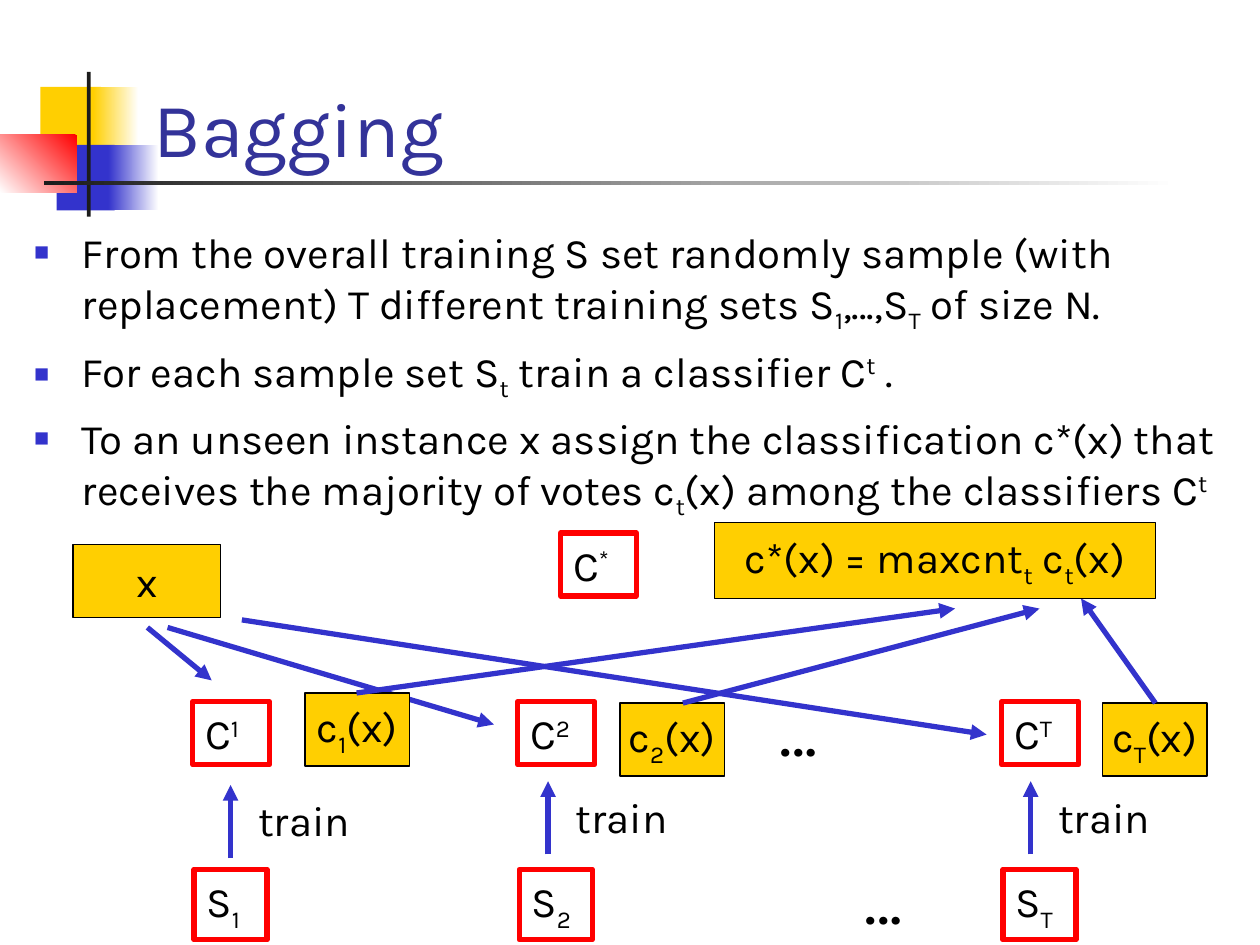
from dataclasses import dataclass

from lxml import etree
from pptx import Presentation
from pptx.dml.color import RGBColor
from pptx.enum.shapes import MSO_CONNECTOR, MSO_SHAPE
from pptx.enum.text import MSO_ANCHOR, MSO_AUTO_SIZE, PP_ALIGN
from pptx.oxml.ns import qn
from pptx.util import Inches, Pt

RECTANGLE = MSO_SHAPE.RECTANGLE
STRAIGHT = MSO_CONNECTOR.STRAIGHT
TOP, MIDDLE, BOTTOM = MSO_ANCHOR.TOP, MSO_ANCHOR.MIDDLE, MSO_ANCHOR.BOTTOM
LEFT, CENTER = PP_ALIGN.LEFT, PP_ALIGN.CENTER
FIXED, GROW = MSO_AUTO_SIZE.NONE, MSO_AUTO_SIZE.SHAPE_TO_FIT_TEXT
SUB, SUP = -25, 30


@dataclass(frozen=True)
class Theme:
    """Colours, font and type sizes of the slide."""
    font: str = "Karla"
    title_color: str = "333399"
    text: str = "000000"
    white: str = "FFFFFF"
    blue: str = "3333CC"
    yellow: str = "FFCF01"
    red: str = "FF0000"
    dark: str = "1C1C1C"
    title_size: int = 44
    body_size: int = 24
    dots_size: int = 40
    thick: float = 3
    thin: float = 0.75


THEME = Theme()


def color(value):
    """Turn a hex string into a colour."""
    return RGBColor.from_string(value)


def add_runs(paragraph, runs, size=THEME.body_size, text_color=THEME.text):
    """Add runs, each a string or a (string, baseline percent) pair."""
    for item in runs:
        text, baseline = (item, 0) if isinstance(item, str) else item
        run = paragraph.add_run()
        run.text = text
        run.font.name = THEME.font
        run.font.size = Pt(size)
        run.font.color.rgb = color(text_color)
        if baseline:
            run.font._element.set("baseline", str(baseline * 1000))


def place(shape, left, top, width, height):
    """Move and size a shape, in inches."""
    shape.left, shape.top = Inches(left), Inches(top)
    shape.width, shape.height = Inches(width), Inches(height)


def set_frame(frame, anchor, auto_size, wrap):
    """Set how a text frame anchors, grows and wraps."""
    frame.auto_size = auto_size
    frame.vertical_anchor = anchor
    frame.word_wrap = wrap


def add_rectangle(slide, box):
    """Add a rectangle without fill, line or shadow."""
    shape = slide.shapes.add_shape(RECTANGLE, *map(Inches, box))
    shape.shadow.inherit = False
    shape.fill.background()
    shape.line.fill.background()
    return shape


def add_decoration(slide, box, colors, angle=180):
    """Add an ornament with a solid fill or a two-colour gradient."""
    fill = add_rectangle(slide, box).fill
    if len(colors) == 1:
        fill.solid()
        fill.fore_color.rgb = color(colors[0])
        return
    fill.gradient()
    fill.gradient_angle = angle
    for stop, position, value in zip(fill.gradient_stops, (0, 1), colors):
        stop.position = position
        stop.color.rgb = color(value)


def add_node(slide, box, runs):
    """Add a red outlined box for a classifier or a sample set."""
    shape = add_rectangle(slide, box)
    shape.line.color.rgb = color(THEME.red)
    shape.line.width = Pt(THEME.thick)
    set_frame(shape.text_frame, TOP, GROW, False)
    paragraph = shape.text_frame.paragraphs[0]
    paragraph.alignment = LEFT
    add_runs(paragraph, runs)


def add_value(slide, box, runs):
    """Add a yellow box for an instance or a classification."""
    shape = add_rectangle(slide, box)
    shape.fill.solid()
    shape.fill.fore_color.rgb = color(THEME.yellow)
    shape.line.color.rgb = color(THEME.text)
    shape.line.width = Pt(THEME.thin)
    set_frame(shape.text_frame, MIDDLE, FIXED, False)
    paragraph = shape.text_frame.paragraphs[0]
    paragraph.alignment = CENTER
    add_runs(paragraph, runs)


def add_label(slide, box, text, size=THEME.body_size):
    """Add a plain text label."""
    frame = slide.shapes.add_textbox(*map(Inches, box)).text_frame
    set_frame(frame, TOP, GROW, False)
    add_runs(frame.paragraphs[0], [text], size)


def add_arrow(slide, start, end):
    """Add a blue arrow from start to end."""
    arrow = slide.shapes.add_connector(STRAIGHT, *map(Inches, start + end))
    arrow.line.color.rgb = color(THEME.blue)
    arrow.line.width = Pt(THEME.thick)
    line = arrow.line._get_or_add_ln()
    etree.SubElement(line, qn("a:tailEnd"), type="triangle")
    etree.SubElement(line.getparent(), qn("a:effectLst"))


def add_bullet(paragraph):
    """Give a paragraph a hanging blue square bullet."""
    paragraph.space_before = Pt(6)
    properties = paragraph._p.get_or_add_pPr()
    properties.set("marL", str(Inches(0.38)))
    properties.set("indent", str(Inches(-0.38)))
    bullet_color = etree.SubElement(properties, qn("a:buClr"))
    etree.SubElement(bullet_color, qn("a:srgbClr"), val=THEME.blue)
    etree.SubElement(properties, qn("a:buSzPct"), val="60000")
    etree.SubElement(properties, qn("a:buChar"), char="■")


def add_ornaments(slide):
    """Draw the coloured squares and rules behind the title."""
    add_decoration(slide, (0.32, 0.69, 0.48, 0.52), [THEME.yellow])
    add_decoration(slide, (0.74, 0.69, 0.36, 0.52), [THEME.white, THEME.yellow])
    add_decoration(slide, (0.45, 1.15, 0.46, 0.52), [THEME.blue])
    add_decoration(slide, (0.86, 1.15, 0.4, 0.52), [THEME.white, THEME.blue])
    add_decoration(slide, (0, 1.07, 0.61, 0.46), [THEME.red, THEME.white], 225)
    add_decoration(slide, (0.69, 0.57, 0.03, 1.15), [THEME.dark])
    add_decoration(slide, (0.35, 1.44, 9, 0.03), [THEME.white, THEME.dark])


def fill_placeholders(slide):
    """Write the title and the bullet list in front of the ornaments."""
    title, body = slide.shapes.title, slide.placeholders[1]
    for placeholder in (title, body):
        slide.shapes.element.append(placeholder.element)
    place(title, 1.12, 0.17, 8.52, 1.25)
    set_frame(title.text_frame, BOTTOM, FIXED, True)
    heading = title.text_frame.paragraphs[0]
    heading.alignment = LEFT
    add_runs(heading, ["Bagging"], THEME.title_size, THEME.title_color)

    place(body, 0.17, 1.75, 9.83, 3.25)
    set_frame(body.text_frame, TOP, FIXED, True)
    items = [
        ["From the overall training S set randomly sample (with replacement) "
         "T different training sets S", ("1", SUB), ",...,S", ("T", SUB),
         " of size N. "],
        ["For each sample set S", ("t", SUB), " train a classifier C",
         ("t", SUP), " . "],
        ["To an unseen instance x assign the classification c*(x) that "
         "receives the majority of votes c", ("t", SUB),
         "(x) among the classifiers C", ("t ", SUP)],
    ]
    for index, runs in enumerate(items):
        frame = body.text_frame
        paragraph = frame.add_paragraph() if index else frame.paragraphs[0]
        add_bullet(paragraph)
        add_runs(paragraph, runs)


def add_diagram(slide):
    """Draw the training columns, the instance and the majority vote."""
    columns = [("1", 1.53, 1.83, 6.23, 2.42, 5.5),
               ("2", 4.11, 4.35, 6.2, 4.92, 5.58),
               ("T", 7.95, 8.18, 6.2, 8.75, 5.58)]
    add_value(slide, (0.58, 4.32, 1.17, 0.58), ["x"])
    for start, end in [((1.17, 4.98), (1.68, 5.4)), ((1.33, 4.98), (3.92, 5.75)),
                       ((1.92, 4.92), (7.83, 5.83))]:
        add_arrow(slide, start, end)
    for name, left, arrow_x, arrow_top, vote_left, vote_top in columns:
        add_node(slide, (left, 5.57, 0.61, 0.5), ["C", (name + " ", SUP)])
        add_node(slide, (left + 0.01, 6.9, 0.58, 0.56), ["S", (name + " ", SUB)])
        add_arrow(slide, (arrow_x, arrow_top + 0.58), (arrow_x, arrow_top))
        add_label(slide, (arrow_x + 0.12, arrow_top + 0.03, 0.93, 0.5), "train")
        add_value(slide, (vote_left, vote_top, 0.83, 0.58),
                  ["c", (name, SUB), "(x)"])
    for left, top in [(6.09, 5.4), (6.76, 6.73)]:
        add_label(slide, (left, top, 0.64, 0.77), "…", THEME.dots_size)
    add_node(slide, (4.45, 4.23, 0.6, 0.5), ["C", ("* ", SUP)])
    for start, end in [((2.83, 5.5), (7.58, 4.83)), ((5.42, 5.58), (8.25, 4.83)),
                       ((9.17, 5.58), (8.58, 4.75))]:
        add_arrow(slide, start, end)
    add_value(slide, (5.67, 4.15, 3.5, 0.6),
              ["c*(x) = maxcnt", ("t", SUB), " c", ("t", SUB), "(x)"])


def main():
    """Build and save the slide."""
    presentation = Presentation()
    presentation.slide_width, presentation.slide_height = Inches(10), Inches(7.5)
    slide = presentation.slides.add_slide(presentation.slide_layouts[1])
    add_ornaments(slide)
    fill_placeholders(slide)
    add_diagram(slide)
    presentation.save("out.pptx")


main()
